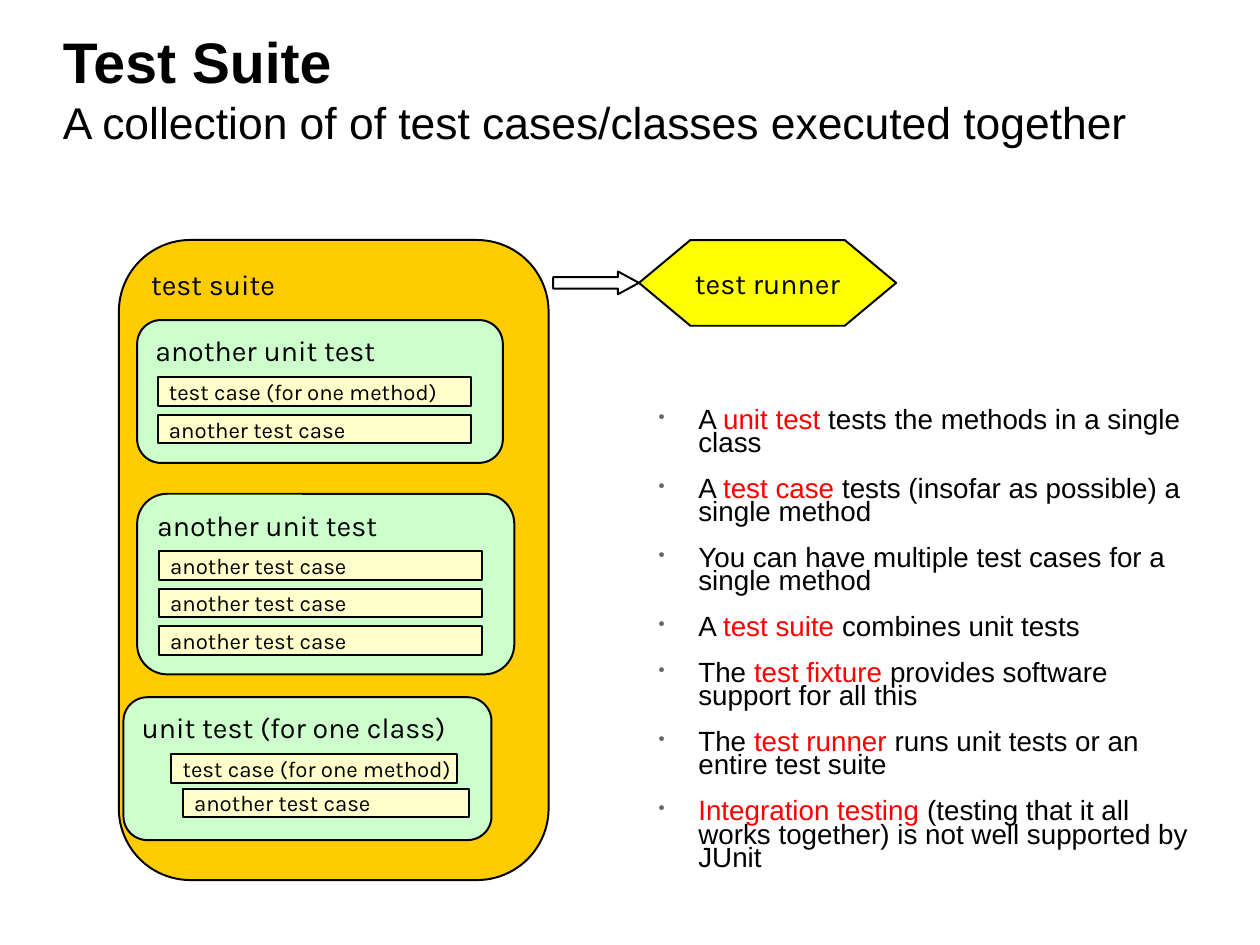
from dataclasses import dataclass

import pptx
import pptx.dml.color
import pptx.enum.shapes
import pptx.enum.text
import pptx.oxml
import pptx.oxml.ns
import pptx.util
from pptx.util import Inches

SHAPE = pptx.enum.shapes.MSO_SHAPE
ANCHOR = pptx.enum.text.MSO_ANCHOR
ALIGN = pptx.enum.text.PP_ALIGN
CM_PER_INCH = 2.54


@dataclass(frozen=True)
class Theme:
    ink: str = "000000"
    key_term: str = "FF0000"
    bullet: str = "666666"
    suite: str = "FFCC00"
    unit: str = "CCFFCC"
    case: str = "FFFFCC"
    runner: str = "FFFF00"
    text_font: str = "Arial"
    diagram_font: str = "Karla"
    title: float = 36
    subtitle: float = 28
    label: float = 18
    case_label: float = 14
    body: float = 17.5
    outline: float = 1.25


THEME = Theme()

# Title, box, first case (left, top) in the box, step to the next case, case width, cases
UNIT_TESTS = [
    ("another unit test", (1.2, 2.8, 3.2, 1.25), (0.18, 0.5), (0, 0.33), 2.74,
     ["test case (for one method)", "another test case"]),
    ("another unit test", (1.2, 4.32, 3.3, 1.58), (0.19, 0.5), (0, 0.33), 2.83,
     ["another test case"] * 3),
    ("unit test (for one class)", (1.08, 6.1, 3.22, 1.25), (0.42, 0.5), (0.1, 0.3), 2.5,
     ["test case (for one method)", "another test case"]),
]

# Before the key term, the key term, after it
DEFINITIONS = [
    ("A ", "unit test", " tests the methods in a single class"),
    ("A ", "test case", " tests (insofar as possible) a single method"),
    ("You can have multiple test cases for a single method", "", ""),
    ("A ", "test suite", " combines unit tests"),
    ("The ", "test fixture", " provides software support for all this"),
    ("The ", "test runner", " runs unit tests or an entire test suite"),
    ("", "Integration testing",
     " (testing that it all works together) is not well supported by JUnit"),
]


def rgb(value):
    return pptx.dml.color.RGBColor.from_string(value)


def add_text(paragraph, text, size, font=THEME.text_font, color=THEME.ink, bold=False):
    run = paragraph.add_run()
    run.text = text
    run.font.size = pptx.util.Pt(size)
    run.font.name = font
    run.font.bold = bold
    run.font.color.rgb = rgb(color)


def add_outlined(slide, kind, box, fill=None):
    shape = slide.shapes.add_shape(kind, *map(Inches, box))
    shape.shadow.inherit = False
    if fill:
        shape.fill.solid()
        shape.fill.fore_color.rgb = rgb(fill)
    else:
        shape.fill.background()
    shape.line.color.rgb = rgb(THEME.ink)
    shape.line.width = pptx.util.Pt(THEME.outline)
    return shape


def add_labelled(slide, kind, box, fill, label, size=THEME.label,
                 anchor=ANCHOR.TOP, align=ALIGN.LEFT):
    frame = add_outlined(slide, kind, box, fill).text_frame
    frame.word_wrap = False
    frame.vertical_anchor = anchor
    frame.paragraphs[0].alignment = align
    add_text(frame.paragraphs[0], label, size, font=THEME.diagram_font)


def add_text_frame(slide, box, anchor=ANCHOR.TOP):
    frame = slide.shapes.add_textbox(*map(Inches, box)).text_frame
    frame.word_wrap = True
    frame.vertical_anchor = anchor
    frame.margin_left = frame.margin_right = frame.margin_top = frame.margin_bottom = 0
    return frame


def add_bullet(paragraph):
    properties = paragraph._p.get_or_add_pPr()
    properties.set("marL", str(Inches(0.47)))
    properties.set("indent", str(Inches(-0.35)))
    namespace = pptx.oxml.ns.nsdecls("a")
    for xml in (f'<a:buClr {namespace}><a:srgbClr val="{THEME.bullet}"/></a:buClr>',
                f'<a:buSzPct {namespace} val="30000"/>',
                f'<a:buChar {namespace} char="●"/>'):
        properties.append(pptx.oxml.parse_xml(xml))


def add_heading(slide, box):
    paragraph = add_text_frame(slide, box).paragraphs[0]
    add_text(paragraph, "Test Suite", THEME.title, bold=True)
    paragraph.add_line_break()
    add_text(paragraph, "A collection of of test cases/classes executed together",
             THEME.subtitle)


def add_unit_test(slide, title, box, first_case, step, case_width, cases):
    add_labelled(slide, SHAPE.FLOWCHART_ALTERNATE_PROCESS, box, THEME.unit, title)
    for index, case in enumerate(cases):
        left, top = (box[axis] + first_case[axis] + index * step[axis] for axis in (0, 1))
        add_labelled(slide, SHAPE.FLOWCHART_PROCESS, (left, top, case_width, 0.25),
                     THEME.case, case, size=THEME.case_label, anchor=ANCHOR.MIDDLE)


def add_suite(slide, box):
    add_labelled(slide, SHAPE.FLOWCHART_ALTERNATE_PROCESS, box, THEME.suite, "test suite")
    for unit_test in UNIT_TESTS:
        add_unit_test(slide, *unit_test)


def add_runner(slide, box):
    """Fill the box with the block arrow and the runner it points to."""
    left, top, width, height = box
    arrow_width, arrow_height = 0.75, 0.2
    add_labelled(slide, SHAPE.FLOWCHART_PREPARATION,
                 (left + arrow_width, top, width - arrow_width, height),
                 THEME.runner, "test runner", anchor=ANCHOR.MIDDLE, align=ALIGN.CENTER)
    arrow_top = top + (height - arrow_height) / 2
    arrow = add_outlined(slide, SHAPE.RIGHT_ARROW,
                         (left, arrow_top, arrow_width, arrow_height))
    arrow.adjustments[1] = 0.92


def add_definitions(slide, box):
    frame = add_text_frame(slide, box, anchor=ANCHOR.BOTTOM)
    for index, parts in enumerate(DEFINITIONS):
        paragraph = frame.add_paragraph() if index else frame.paragraphs[0]
        paragraph.line_spacing = 0.7
        paragraph.space_after = pptx.util.Pt(14.2)
        add_bullet(paragraph)
        for part, color in zip(parts, (THEME.ink, THEME.key_term, THEME.ink)):
            if part:
                add_text(paragraph, part, THEME.body, color=color)


def main():
    presentation = pptx.Presentation()
    presentation.slide_width = Inches(28 / CM_PER_INCH)
    presentation.slide_height = Inches(21 / CM_PER_INCH)
    slide = presentation.slides.add_slide(presentation.slide_layouts[6])
    add_suite(slide, (1.04, 2.1, 3.76, 5.6))
    add_runner(slide, (4.84, 2.1, 3, 0.75))
    add_definitions(slide, (5.64, 3.58, 4.84, 4.05))
    add_heading(slide, (0.55, 0.23, 9.92, 1.43))
    presentation.save("out.pptx")


if __name__ == "__main__":
    main()
